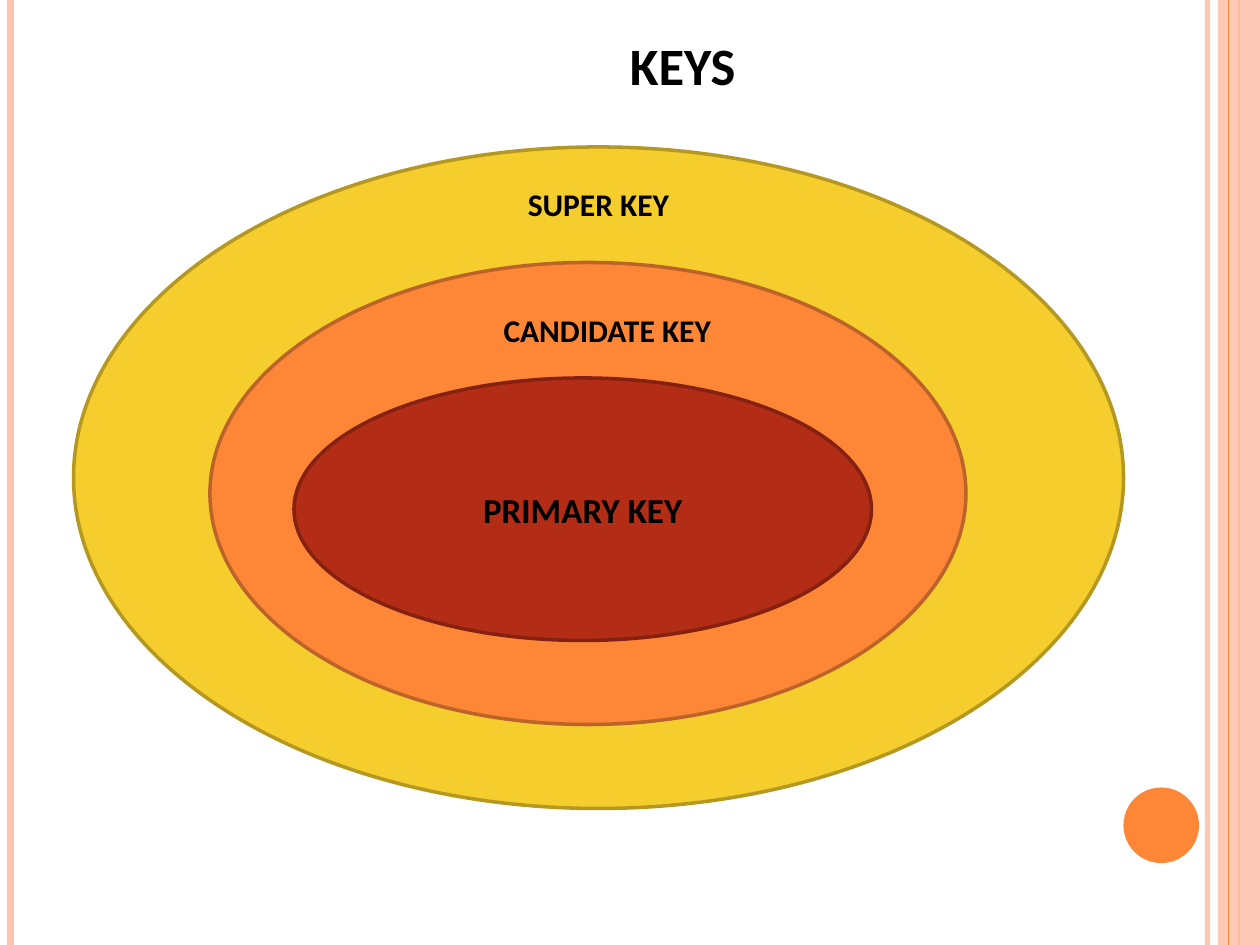
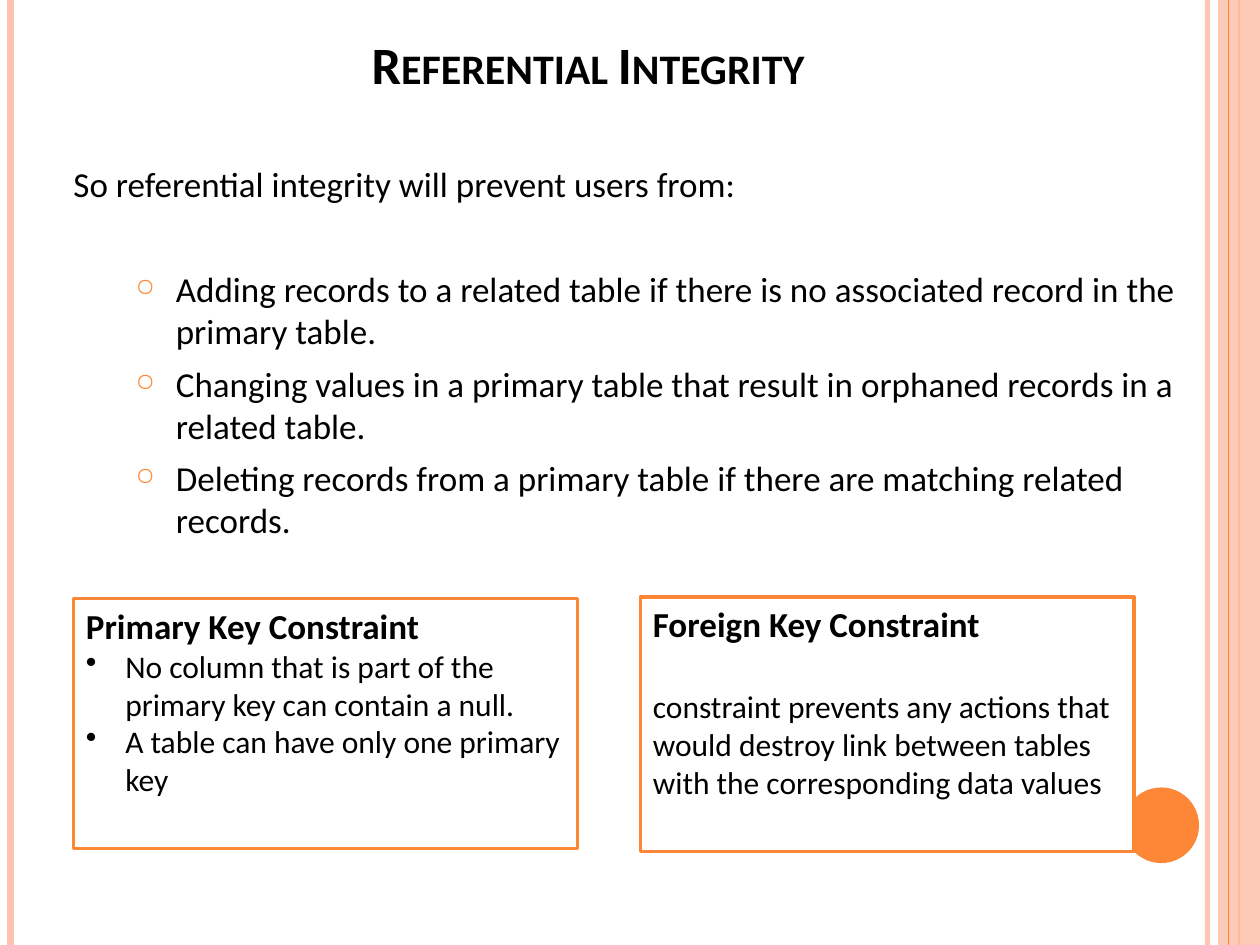
from lxml.etree import SubElement
from pptx import Presentation
from pptx.dml.color import RGBColor
from pptx.enum.shapes import MSO_CONNECTOR, MSO_SHAPE
from pptx.enum.text import MSO_ANCHOR, MSO_AUTO_SIZE, PP_ALIGN
from pptx.oxml.ns import qn
from pptx.util import Pt

COLORS = {
    "text": "000000", "paper": "FFFFFF", "peach": "FEC3AE",
    "orange": "FE8637", "orange_edge": "BC6329",
    "yellow": "F5CD2D", "yellow_edge": "B59821",
    "red": "B32C16", "red_edge": "842110",
}
FONT = "Calibri"
PAGE_BOX = (0, 0, 720, 540)
BULLET_TEXTS = [
    "Adding records to a related table if there is no associated record in the primary table.",
    "Changing values in a primary table that result in orphaned records in a related table.",
    "Deleting records from a primary table if there are matching related records.",
]


def color(name):
    """Return the named palette colour."""
    return RGBColor.from_string(COLORS[name])


def points(box):
    """Convert a box of numbers to point lengths."""
    return [Pt(value) for value in box]


def set_alpha(shape, percent):
    """Make the colours of a shape partly transparent."""
    for element in shape._element.spPr.iter(qn("a:srgbClr")):
        SubElement(element, qn("a:alpha"), val=str(percent * 1000))


def set_margins(frame, left=6, bottom=3):
    """Set the insets of a text frame."""
    frame.margin_left, frame.margin_top = Pt(left), Pt(3)
    frame.margin_right, frame.margin_bottom = Pt(6), Pt(bottom)


def style(para, size, bold=False, align=PP_ALIGN.LEFT, before=0):
    """Format a paragraph."""
    para.alignment = align
    para.space_before = Pt(before)
    font = para.font
    font.name, font.size, font.bold = FONT, Pt(size), bold
    font.color.rgb = color("text")


def add_bullet(para, char, indent, hanging, tint=None, percent=100):
    """Give a paragraph a hanging bullet."""
    properties = para._p.get_or_add_pPr()
    properties.set("marL", str(Pt(indent)))
    properties.set("indent", str(-Pt(hanging)))
    if tint:
        holder = SubElement(properties, qn("a:buClr"))
        SubElement(holder, qn("a:srgbClr"), val=COLORS[tint])
    SubElement(properties, qn("a:buSzPct"), val=str(percent * 1000))
    SubElement(properties, qn("a:buChar"), char=char)


def add_filled(page, kind, box, fill, edge=None):
    """Add a flat preset shape with an optional outline."""
    shape = page.shapes.add_shape(kind, *points(box))
    shape.shadow.inherit = False
    shape.fill.solid()
    shape.fill.fore_color.rgb = color(fill)
    if edge:
        shape.line.color.rgb = color(edge)
        shape.line.width = Pt(2)
    else:
        shape.line.fill.background()
    return shape


def add_rule(page, x, top, bottom, tint, width):
    """Add a vertical rule."""
    rule = page.shapes.add_connector(MSO_CONNECTOR.STRAIGHT, *points((x, top, x, bottom)))
    rule.line.color.rgb = color(tint)
    rule.line.width = Pt(width)
    SubElement(rule._element.spPr, qn("a:effectLst"))
    return rule


def add_bands(page, box):
    """Draw the side bands and the corner disc inside the page box."""
    left, top, width, height = box
    right, bottom = left + width, top + height
    set_alpha(add_rule(page, right - 30, top, bottom, "peach", 3), 93)
    add_rule(page, left + 6, top, bottom, "peach", 4.5)
    add_rule(page, right - 12, top, bottom, "orange", 1.5)
    band = add_filled(page, MSO_SHAPE.RECTANGLE, (right - 24, top, 24, height), "peach")
    set_alpha(band, 87)
    add_rule(page, right - 18, top, bottom, "orange", 0.75)
    add_filled(page, MSO_SHAPE.OVAL, (right - 78, bottom - 90, 43.2, 43.2), "orange")


def add_page(deck, title_text, title_box, **margins):
    """Add a banded page with a small-caps title."""
    page = deck.slides.add_slide(deck.slide_layouts[5])
    add_bands(page, PAGE_BOX)
    title = page.shapes.title
    title.left, title.top, title.width, title.height = points(title_box)
    frame = title.text_frame
    frame.auto_size = MSO_AUTO_SIZE.NONE
    frame.word_wrap = True
    frame.vertical_anchor = MSO_ANCHOR.BOTTOM
    set_margins(frame, **margins)
    para = frame.paragraphs[0]
    span = para.add_run()
    span.text = title_text
    span._r.get_or_add_rPr().set("cap", "small")
    style(para, 30, True, PP_ALIGN.CENTER)
    return page


def add_label(page, text, box):
    """Add an unwrapped centred label."""
    frame = page.shapes.add_textbox(*points(box)).text_frame
    frame.word_wrap = False
    para = frame.paragraphs[0]
    para.text = text
    style(para, 18, True, PP_ALIGN.CENTER)


def add_key_rings(page, box):
    """Nest the three key ellipses in the given box."""
    left, top, width, height = box
    add_filled(page, MSO_SHAPE.OVAL, box, "yellow", "yellow_edge")
    add_filled(page, MSO_SHAPE.OVAL, (left + 78, top + 66, 432, 264), "orange", "orange_edge")
    primary = add_filled(page, MSO_SHAPE.OVAL, (left + 126, top + 132, 330, 150), "red", "red_edge")
    para = primary.text_frame.paragraphs[0]
    para.text = "PRIMARY KEY"
    style(para, 20, True, PP_ALIGN.CENTER)
    add_label(page, "CANDIDATE KEY", (left + 238, top + 90, 134, 29))
    add_label(page, "SUPER KEY", (left + 250, top + 18, 100, 29))


def add_body(page, box, lead, bullets):
    """Add the lead sentence and its bullets."""
    frame = page.shapes.add_textbox(*points(box)).text_frame
    frame.word_wrap = True
    set_margins(frame, bottom=3)
    para = frame.paragraphs[0]
    para.text = lead
    style(para, 20)
    frame.margin_top = Pt(9)
    for index, text in enumerate(bullets):
        para = frame.add_paragraph()
        para.text = text
        add_bullet(para, "○", 58.5, 23, "orange", 70)
        style(para, 20, before=6 if index else 36)


def add_constraint(page, box, heading, lines, bulleted=False, gap=0):
    """Add an outlined box with a heading and its lines."""
    shape = add_filled(page, MSO_SHAPE.RECTANGLE, box, "paper", "orange")
    frame = shape.text_frame
    frame.word_wrap = True
    frame.vertical_anchor = MSO_ANCHOR.TOP
    para = frame.paragraphs[0]
    para.text = heading
    style(para, 20, True)
    for text in lines:
        para = frame.add_paragraph()
        para.text = text
        if bulleted:
            add_bullet(para, "•", 22.5, 22.5)
        style(para, 18, before=gap)


def add_keys_page(deck):
    """Build the page of nested keys."""
    page = add_page(deck, "KEYS", (36, 6, 588, 52), left=66)
    add_key_rings(page, (42, 84, 600, 378))


def add_integrity_page(deck):
    """Build the page on referential integrity."""
    page = add_page(deck, "Referential Integrity", (18, 36, 636, 58), bottom=39.5)
    add_body(page, (36, 84, 642, 416), "So referential integrity will prevent users from:", BULLET_TEXTS)
    add_constraint(page, (42, 342, 288, 143), "Primary Key Constraint", [
        "No column that is part of the primary key can contain a null.",
        "A table can have only one primary key",
    ], bulleted=True)
    add_constraint(page, (366, 341, 282, 145.5), "Foreign Key Constraint", [
        "constraint prevents any actions that would destroy link between tables "
        "with the corresponding data values",
    ], gap=24)


def main():
    """Build and save the deck."""
    deck = Presentation()
    deck.slide_width, deck.slide_height = points(PAGE_BOX[2:])
    add_keys_page(deck)
    add_integrity_page(deck)
    deck.save("out.pptx")


if __name__ == "__main__":
    main()
